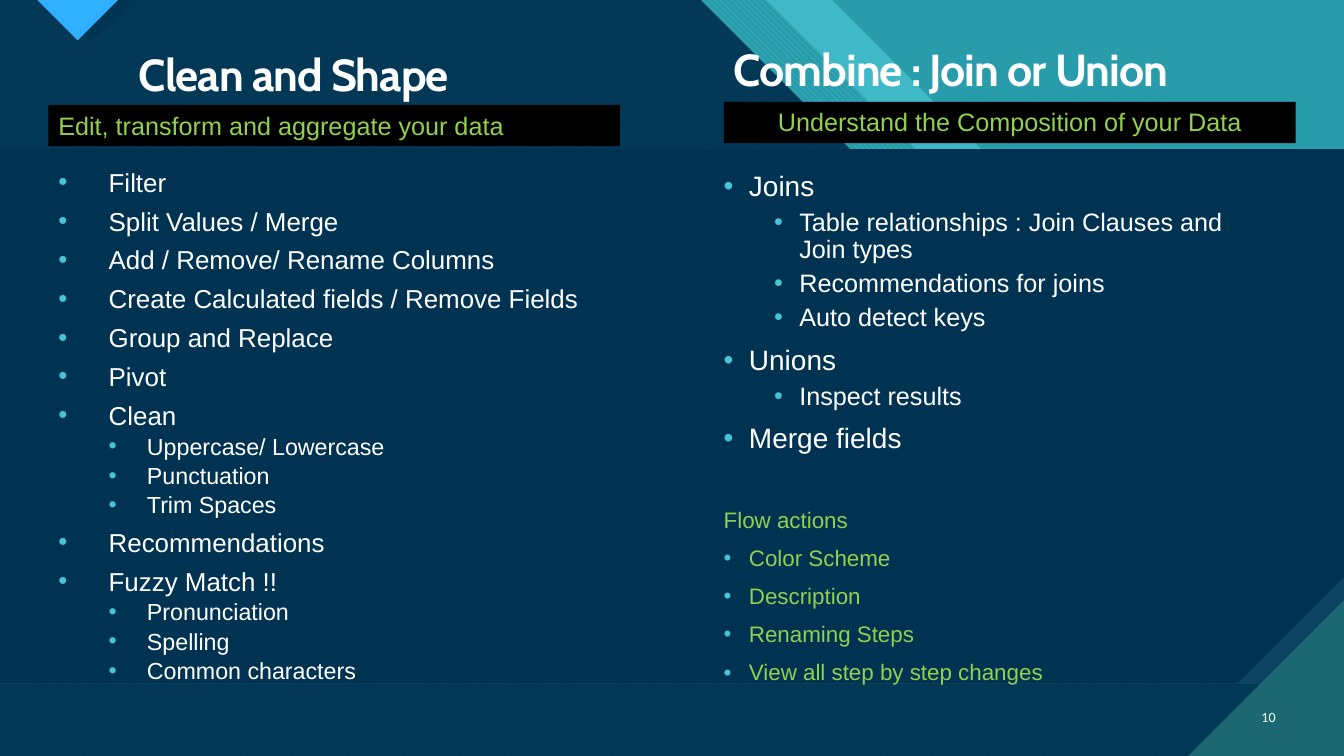
"""Builds the slide on cleaning, shaping and combining data."""
from dataclasses import dataclass

from lxml.etree import SubElement
from pptx import Presentation
from pptx.dml.color import RGBColor
from pptx.enum.dml import MSO_PATTERN as Pattern
from pptx.enum.shapes import MSO_SHAPE as Shape
from pptx.enum.text import MSO_ANCHOR as Anchor, PP_ALIGN as Align
from pptx.oxml.ns import qn
from pptx.util import Inches, Pt

WIDTH, HEIGHT = 13.33, 7.5
PANEL = (0, 1.48, WIDTH, 5.3)


@dataclass(frozen=True)
class Theme:
    """Colours, fonts and type sizes of the slide."""
    teal: str = "299CAB"
    aqua: str = "47C3D3"
    deep_teal: str = "1B6872"
    navy: str = "003352"
    slate: str = "0C4360"
    blue: str = "2FAFFF"
    black: str = "000000"
    white: str = "FFFFFF"
    green: str = "92D050"
    heading_font: str = "Cabin"
    body_font: str = "Arial"
    number_font: str = "Calibri"
    heading_size: float = 32
    banner_size: float = 18
    number_size: float = 10


THEME = Theme()


@dataclass(frozen=True)
class Level:
    """Look of one outline level."""
    size: float
    left: float
    hang: float
    before: float
    spacing: float
    color: str = THEME.white
    bullet: bool = True


CLEAN_LEVELS = (Level(18.5, 0.5, 0.5, 10, 0.8), Level(16.6, 0.88, 0.38, 5, 0.8))
COMBINE_LEVELS = (Level(20, 0.25, 0.25, 10, 0.9), Level(18, 0.75, 0.25, 5, 0.9))
FLOW_LEVELS = (Level(16, 0, 0, 10, 0.9, THEME.green, False),
               Level(16, 0.25, 0.25, 10, 0.9, THEME.green))

CLEAN_STEPS = (
    (0, "Filter"), (0, "Split Values / Merge"), (0, "Add / Remove/ Rename Columns"),
    (0, "Create Calculated fields / Remove Fields"), (0, "Group and Replace"),
    (0, "Pivot"), (0, "Clean"), (1, "Uppercase/ Lowercase"), (1, "Punctuation"),
    (1, "Trim Spaces"), (0, "Recommendations"), (0, "Fuzzy Match !!"),
    (1, "Pronunciation"), (1, "Spelling"), (1, "Common characters"),
)
COMBINE_STEPS = (
    (0, "Joins"), (1, "Table relationships : Join Clauses and Join types"),
    (1, "Recommendations for joins"), (1, "Auto detect keys"),
    (0, "Unions"), (1, "Inspect results"), (0, "Merge fields"),
)
FLOW_ACTIONS = (
    (0, "Flow actions"), (1, "Color Scheme"), (1, "Description"),
    (1, "Renaming Steps"), (1, "View all step by step changes"),
)


def rgb(color):
    """Turn a hex string into a colour."""
    return RGBColor.from_string(color)


def apply(target, **values):
    """Set each named value on the target."""
    for name, value in values.items():
        setattr(target, name, value)


def paint(shape, color, back=None, pattern=None, opacity=None):
    """Give a shape a plain, see-through or patterned fill and no outline."""
    shape.shadow.inherit = False
    shape.line.fill.background()
    if pattern is not None:
        shape.fill.patterned()
        apply(shape.fill, pattern=pattern)
        shape.fill.fore_color.rgb = rgb(color)
        shape.fill.back_color.rgb = rgb(back)
        return
    shape.fill.solid()
    shape.fill.fore_color.rgb = rgb(color)
    if opacity is not None:
        tint = shape.fill._xPr.find(qn("a:solidFill"))[0]
        SubElement(tint, qn("a:alpha"), val=str(opacity * 1000))


def add_block(page, kind, box, color, **fill):
    """Add a filled preset shape."""
    block = page.shapes.add_shape(kind, *map(Inches, box))
    paint(block, color, **fill)
    return block


def add_outline(page, points, color, **fill):
    """Add a filled closed outline through points in inches."""
    first, *rest = [(Inches(x), Inches(y)) for x, y in points]
    builder = page.shapes.build_freeform(*first, scale=1.0)
    builder.add_line_segments(rest, close=True)
    paint(builder.convert_to_shape(), color, **fill)


def sweep(top, knee, ledge, edge):
    """List the corners of a slide-wide area cut along the upper right."""
    return [(0, 0), (top, 0), (knee, 2.97), (ledge, 2.97), (WIDTH, edge),
            (WIDTH, HEIGHT), (0, HEIGHT)]


def write(para, text, font, size, color, bold=False, tracking=None, **layout):
    """Fill a paragraph with one styled run."""
    apply(para, **layout)
    span = para.add_run()
    span.text = text
    apply(span.font, name=font, size=Pt(size), bold=bold)
    span.font.color.rgb = rgb(color)
    if tracking is not None:
        span.font._element.set("spc", str(tracking))


def add_text_frame(page, box, anchor=Anchor.TOP):
    """Add a wrapping text box and return its frame."""
    frame = page.shapes.add_textbox(*map(Inches, box)).text_frame
    apply(frame, word_wrap=True, vertical_anchor=anchor)
    return frame


def add_heading(page, box, text):
    """Add a column heading."""
    write(add_text_frame(page, box).paragraphs[0], text, THEME.heading_font,
          THEME.heading_size, THEME.white, bold=True, tracking=-70, line_spacing=0.9)


def add_banner(page, left, top, text, align):
    """Add a black bar with a green caption."""
    bar = add_block(page, Shape.RECTANGLE, (left, top, 5.67, 0.41), THEME.black)
    apply(bar.text_frame, word_wrap=True, vertical_anchor=Anchor.TOP)
    write(bar.text_frame.paragraphs[0], text, THEME.body_font,
          THEME.banner_size, THEME.green, alignment=align)


def add_bullet(para, level):
    """Give a paragraph a hanging aqua bullet."""
    props = para._p.get_or_add_pPr()
    props.set("marL", str(Inches(level.left)))
    props.set("indent", str(-Inches(level.hang)))
    SubElement(SubElement(props, qn("a:buClr")), qn("a:srgbClr"), val=THEME.aqua)
    SubElement(props, qn("a:buFont"), typeface=THEME.body_font)
    SubElement(props, qn("a:buChar"), char="•")


def add_outline_list(page, box, items, levels):
    """Add a list whose items carry an outline level."""
    frame = add_text_frame(page, box)
    for index, (depth, text) in enumerate(items):
        para = frame.add_paragraph() if index else frame.paragraphs[0]
        level = levels[depth]
        write(para, text, THEME.body_font, level.size, level.color, level=depth,
              line_spacing=level.spacing, space_before=Pt(level.before))
        if level.bullet:
            add_bullet(para, level)


def add_backdrop(page):
    """Layer the teal bands, navy field, panel and corner triangles."""
    page.background.fill.solid()
    page.background.fill.fore_color.rgb = rgb(THEME.aqua)
    add_block(page, Shape.RECTANGLE, (0, 0, WIDTH, HEIGHT), THEME.teal)
    add_outline(page, sweep(8.25, 11.22, 12.34, 3.97), THEME.aqua, opacity=74)
    add_outline(page, sweep(7.6, 10.58, 11.84, 4.47), THEME.aqua,
                back=THEME.teal, pattern=Pattern.WIDE_DOWNWARD_DIAGONAL)
    field = sweep(6.95, 9.92, 11.18, 5.13)
    add_outline(page, field, THEME.aqua, back=THEME.deep_teal,
                pattern=Pattern.WIDE_UPWARD_DIAGONAL)
    add_outline(page, field, THEME.navy, opacity=90)
    add_outline(page, [(0.48, 0), (0.9, 0.41), (1.31, 0)], THEME.navy)
    add_outline(page, [(0.37, 0), (0.77, 0.4), (1.17, 0)], THEME.blue,
                back=THEME.deep_teal, pattern=Pattern.DARK_HORIZONTAL)
    add_block(page, Shape.RECTANGLE, PANEL, THEME.slate,
              back=THEME.deep_teal, pattern=Pattern.DARK_VERTICAL)
    panel = add_block(page, Shape.SNIP_1_RECTANGLE, PANEL, THEME.navy)
    panel.adjustments[0] = 0.2
    panel._element.spPr.find(qn("a:xfrm")).set("flipV", "1")
    add_outline(page, [(11.79, HEIGHT), (WIDTH, HEIGHT), (WIDTH, 5.96)],
                THEME.deep_teal, back=THEME.aqua, pattern=Pattern.DARK_HORIZONTAL)


def main():
    """Build and save the deck."""
    deck = Presentation()
    apply(deck, slide_width=Inches(WIDTH), slide_height=Inches(HEIGHT))
    page = deck.slides.add_slide(deck.slide_layouts[6])
    add_backdrop(page)
    add_heading(page, (1.28, 0.47, 3.51, 1.07), "Clean and Shape")
    add_heading(page, (7.18, 0.42, 5.45, 0.59), "Combine : Join or Union")
    add_banner(page, 0.48, 1.04, "Edit, transform and aggregate your data", Align.LEFT)
    add_banner(page, 7.18, 1.01, "Understand the Composition of your Data", Align.CENTER)
    add_outline_list(page, (0.48, 1.66, 5.67, 5.65), CLEAN_STEPS, CLEAN_LEVELS)
    add_outline_list(page, (7.08, 1.66, 5.67, 5.1), COMBINE_STEPS, COMBINE_LEVELS)
    add_outline_list(page, (7.08, 5, 4.17, 2.11), FLOW_ACTIONS, FLOW_LEVELS)
    number = add_text_frame(page, (12.31, 6.91, 0.44, 0.4), Anchor.MIDDLE)
    write(number.paragraphs[0], "10", THEME.number_font, THEME.number_size,
          THEME.white, alignment=Align.RIGHT)
    deck.save("out.pptx")


if __name__ == "__main__":
    main()
